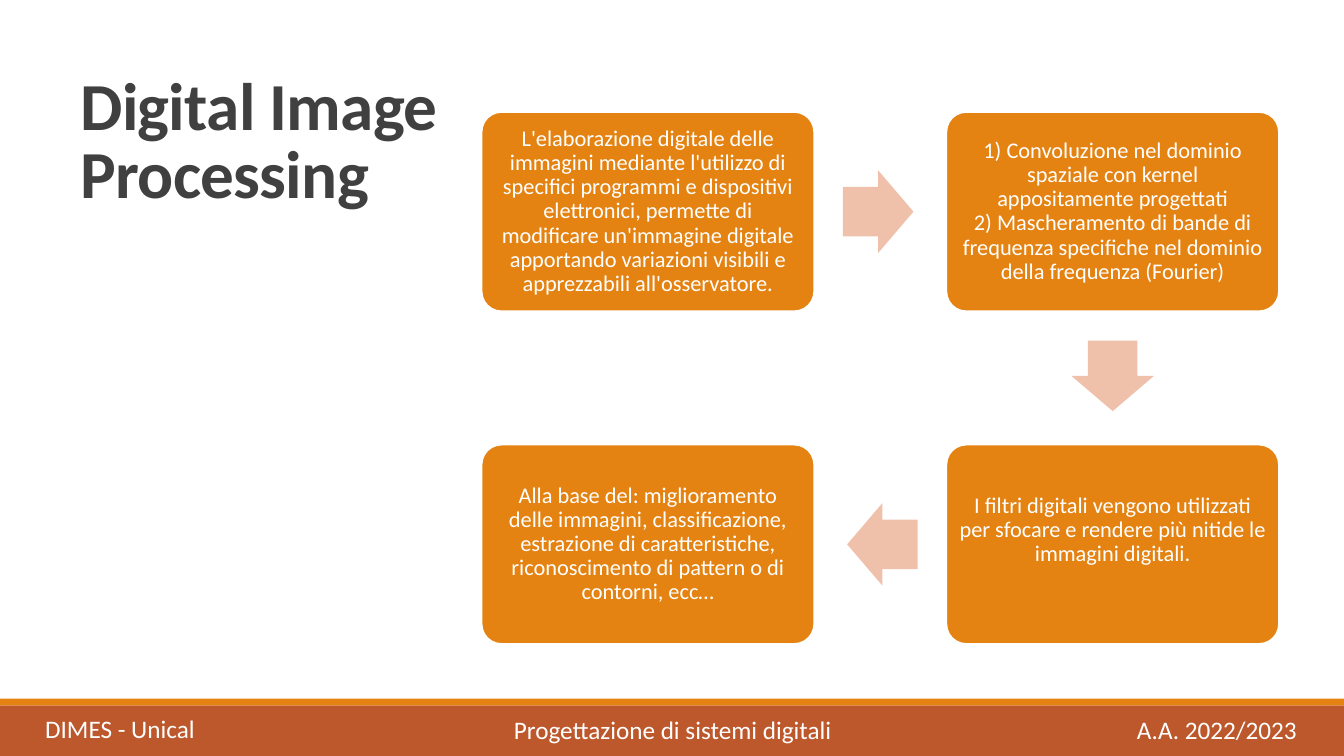
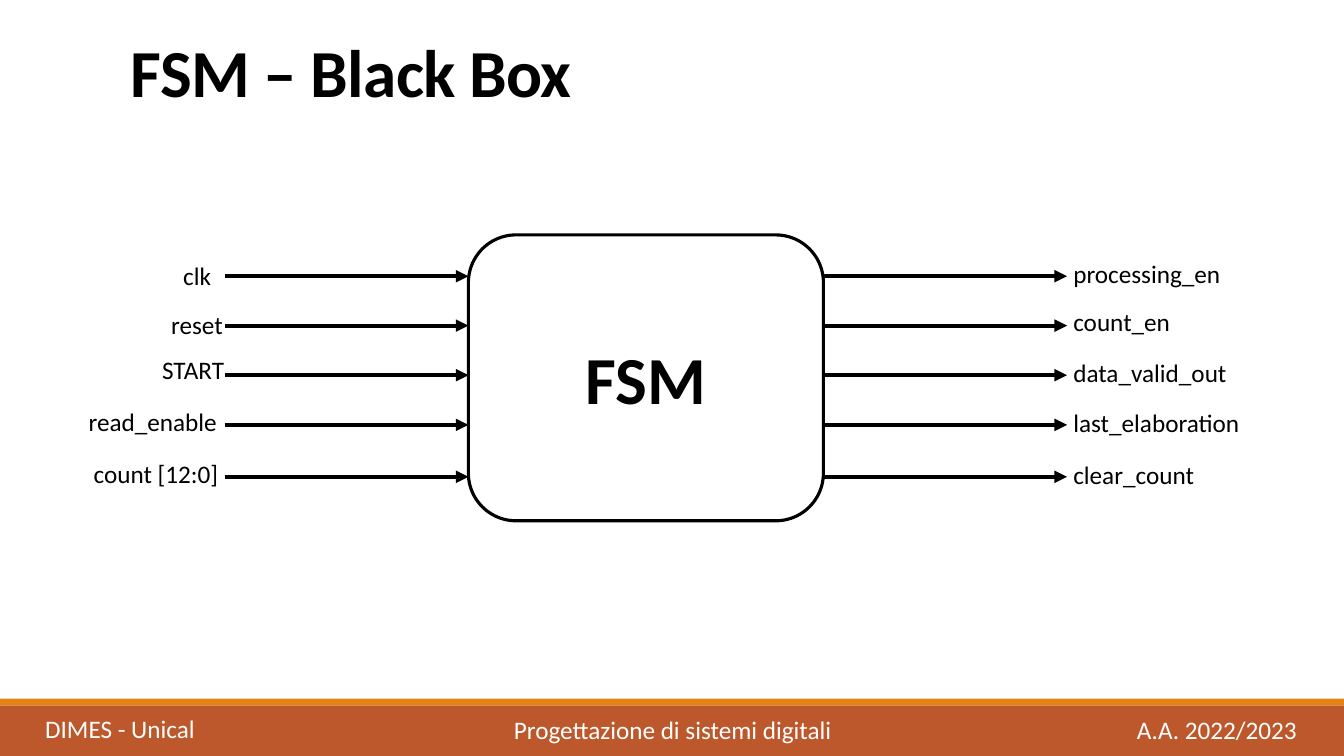
import math
from lxml import etree
from pptx import Presentation
from pptx.dml.color import RGBColor
from pptx.enum.shapes import MSO_CONNECTOR, MSO_SHAPE
from pptx.enum.text import MSO_ANCHOR, PP_ALIGN
from pptx.oxml.ns import qn
from pptx.util import Pt

RECT, ROUND, ARROW = MSO_SHAPE.RECTANGLE, MSO_SHAPE.ROUNDED_RECTANGLE, MSO_SHAPE.RIGHT_ARROW
STRAIGHT = MSO_CONNECTOR.STRAIGHT
TOP, MIDDLE, BOTTOM = MSO_ANCHOR.TOP, MSO_ANCHOR.MIDDLE, MSO_ANCHOR.BOTTOM
CENTER = PP_ALIGN.CENTER

# Shared style
FONT = "Calibri"
ORANGE, RUST, PEACH = "E48312", "BD582C", "EFC1AB"
WHITE, BLACK, GRAY = "FFFFFF", "000000", "404040"
SLIDE_W, SLIDE_H = 960, 540
BANDS = [(499, 5, ORANGE), (504, 36, RUST)]  # top, height, colour
FOOTERS = [  # left, top, text
    (25.2, 506.2, "DIMES - Unical"),
    (360, 506.9, "Progettazione di sistemi digitali"),
    (805, 506.9, "A.A. 2022/2023"),
]

# Processing cards: column, row, extra space below the text, paragraphs
CARDS = [
    (0, 0, 0, ["L'elaborazione digitale delle immagini mediante l'utilizzo di specifici "
               "programmi e dispositivi elettronici, permette di modificare un'immagine "
               "digitale apportando variazioni visibili e apprezzabili all'osservatore."]),
    (1, 0, 0, ["1) Convoluzione nel dominio spaziale con kernel appositamente progettati",
               "2) Mascheramento di bande di frequenza specifiche nel dominio della "
               "frequenza (Fourier)"]),
    (1, 1, 20, ["I filtri digitali vengono utilizzati per sfocare e rendere più nitide "
                "le immagini digitali."]),
    (0, 1, 0, ["Alla base del: miglioramento delle immagini, classificazione, estrazione "
               "di caratteristiche, riconoscimento di pattern o di contorni, ecc…"]),
]
CARD_X, CARD_Y, CARD_W, CARD_H = 344, 80, 237.6, 142.4
STEP_X, STEP_Y = 332, 237.6
ARROW_W, ARROW_H, ARROW_BACK = 50.4, 59, 1.5

# State machine ports: wire height, then left, top and text of each label
PORTS = [
    (197.3, (123.8, 182.2, "clk"), (759.6, 180.7, "processing_en")),
    (232.6, (115.2, 217.4, "reset"), (759.6, 215.3, "count_en")),
    (268, (108.7, 249.8, "START"), (759.6, 252, "data_valid_out")),
    (303.5, (56.2, 286.6, "read_enable"), (759.6, 287.3, "last_elaboration")),
    (340.6, (59.8, 324, "count [12:0]"), (759.6, 324.7, "clear_count")),
]
FSM_X, FSM_Y, FSM_W, FSM_H = 334.6, 167.8, 253.6, 204.2
WIRE = 174


def rgb(color):
    return RGBColor.from_string(color)


def write(shape, lines, size, color, bold=False, align=None, spacing=None, anchor=TOP):
    tf = shape.text_frame
    tf.word_wrap = True
    tf.vertical_anchor = anchor
    for i, line in enumerate(lines):
        p = tf.paragraphs[0] if i == 0 else tf.add_paragraph()
        p.text = line
        p.alignment = align
        p.line_spacing = spacing
        p.font.name, p.font.size, p.font.bold = FONT, Pt(size), bold
        p.font.color.rgb = rgb(color)
    return tf


def add_text(s, x, y, w, h, text, size, color, **style):
    box = s.shapes.add_textbox(Pt(x), Pt(y), Pt(w), Pt(h))
    return write(box, [text], size, color, **style)


def add_box(s, kind, x, y, w, h, fill, line=None, width=1.25):
    sp = s.shapes.add_shape(kind, Pt(x), Pt(y), Pt(w), Pt(h))
    sp.shadow.inherit = False
    sp.fill.solid()
    sp.fill.fore_color.rgb = rgb(fill)
    if line:
        sp.line.color.rgb = rgb(line)
        sp.line.width = Pt(width)
    else:
        sp.line.fill.background()
    return sp


def add_wire(s, x, y):
    wire = s.shapes.add_connector(STRAIGHT, Pt(x), Pt(y), Pt(x + WIRE), Pt(y))
    wire.line.color.rgb = rgb(BLACK)
    wire.line.width = Pt(3)
    etree.SubElement(wire.line._get_or_add_ln(), qn("a:tailEnd"), type="triangle")
    etree.SubElement(wire._element.spPr, qn("a:effectLst"))


def new_slide(prs, title, x, y, w, h, color, anchor=TOP):
    s = prs.slides.add_slide(prs.slide_layouts[6])
    for top, height, fill in BANDS:
        add_box(s, RECT, 0, top, SLIDE_W, height, fill)
    for left, top, text in FOOTERS:
        add_text(s, left, top, 250 if left == 360 else 145, 29, text, 18, WHITE)
    tf = add_text(s, x, y, w, h, title, 48, color, bold=True, spacing=0.85, anchor=anchor)
    tf.paragraphs[0].runs[0]._r.get_or_add_rPr().set("spc", "-50")
    return s


def processing_slide(prs):
    s = new_slide(prs, "Digital Image Processing", 50.4, 50.4, 269.3, 412, GRAY)
    centers = []
    for col, row, below, lines in CARDS:
        x, y = CARD_X + col * STEP_X, CARD_Y + row * STEP_Y
        centers.append((x + CARD_W / 2, y + CARD_H / 2))
        card = add_box(s, ROUND, x, y, CARD_W, CARD_H, ORANGE, WHITE)
        card.adjustments[0] = 0.1
        tf = write(card, lines, 16, WHITE, align=CENTER, spacing=0.9, anchor=MIDDLE)
        tf.margin_left = tf.margin_right = tf.margin_top = Pt(5)
        tf.margin_bottom = Pt(5 + below)

    # Each arrow sits between two cards, slightly nearer the first
    for (x1, y1), (x2, y2) in zip(centers, centers[1:]):
        angle = math.atan2(y2 - y1, x2 - x1)
        x = (x1 + x2) / 2 - ARROW_BACK * math.cos(angle)
        y = (y1 + y2) / 2 - ARROW_BACK * math.sin(angle)
        arrow = add_box(s, ARROW, x - ARROW_W / 2, y - ARROW_H / 2, ARROW_W, ARROW_H, PEACH)
        arrow.adjustments[0], arrow.adjustments[1] = 0.6, 0.5
        arrow.rotation = math.degrees(angle)


def fsm_slide(prs):
    s = new_slide(prs, "FSM – Black Box", 86.4, 22.3, 792, 60.5, BLACK, BOTTOM)
    box = add_box(s, ROUND, FSM_X, FSM_Y, FSM_W, FSM_H, WHITE, BLACK, 2.25)
    write(box, ["FSM"], 48, BLACK, bold=True, align=CENTER, anchor=MIDDLE)
    for y, *labels in PORTS:
        for x in (FSM_X - WIRE, FSM_X + FSM_W):
            add_wire(s, x, y)
        for left, top, text in labels:
            add_text(s, left, top, 150, 29, text, 18, BLACK)


def main():
    prs = Presentation()
    prs.slide_width, prs.slide_height = Pt(SLIDE_W), Pt(SLIDE_H)
    processing_slide(prs)
    fsm_slide(prs)
    prs.save("out.pptx")


if __name__ == "__main__":
    main()
